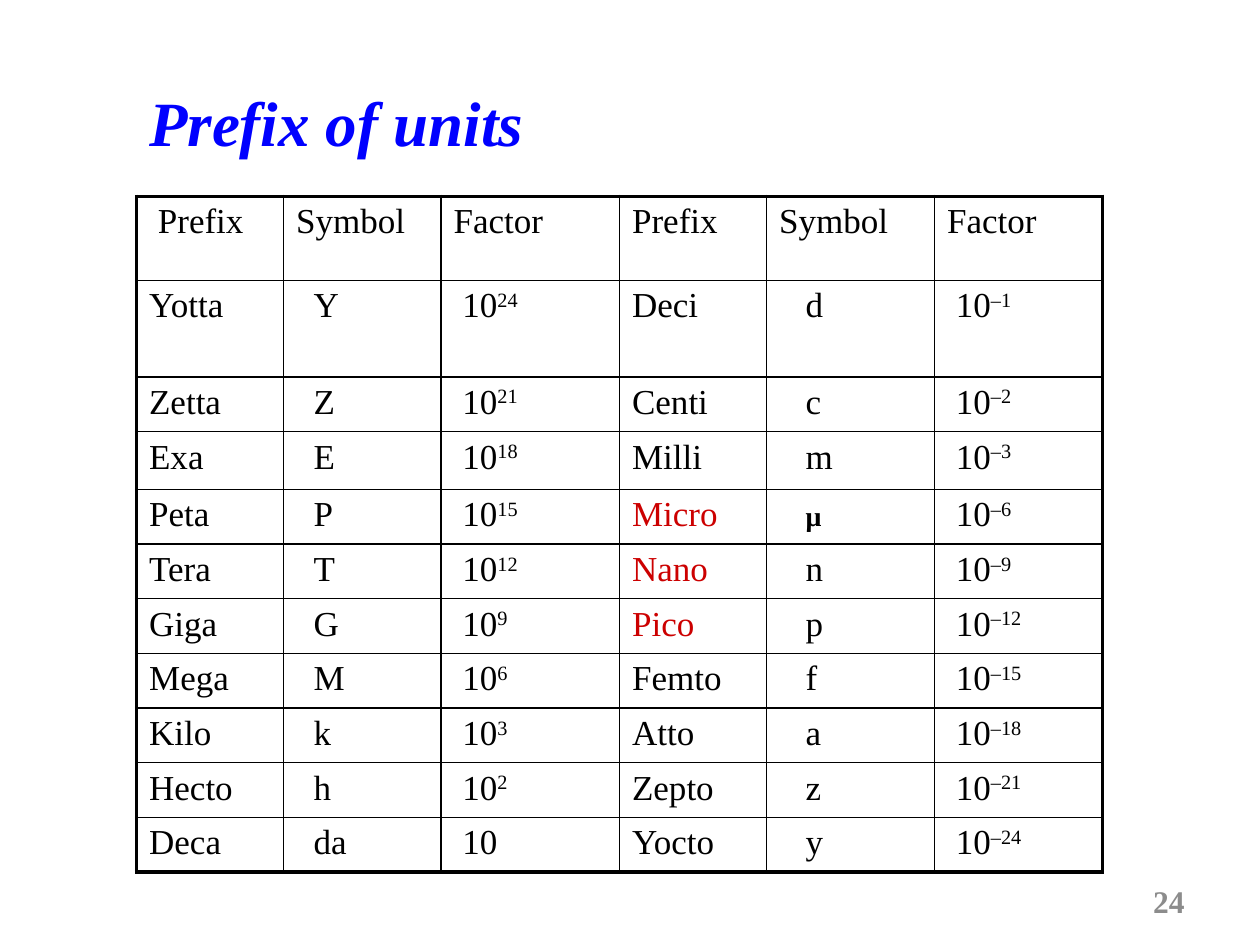
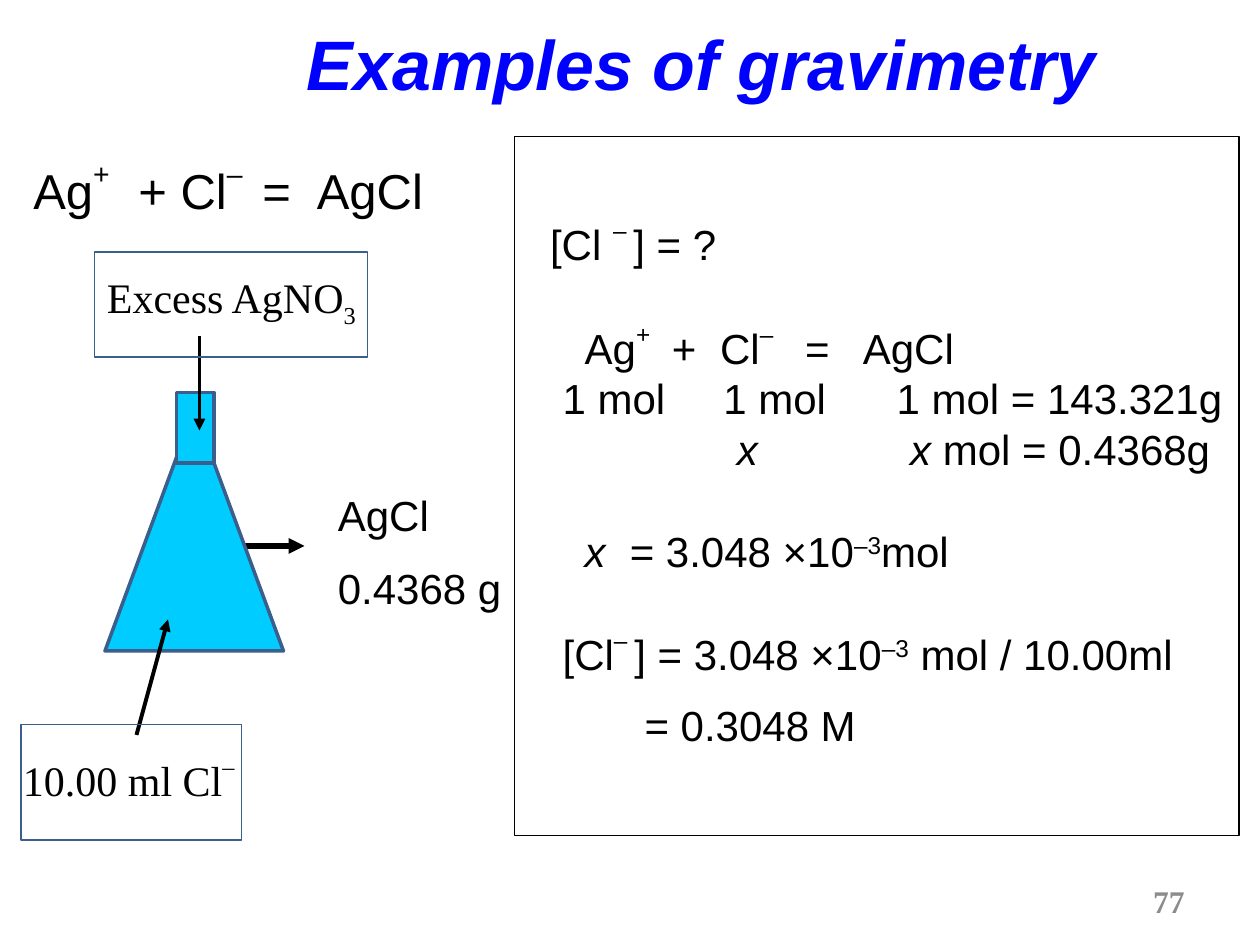
from pptx import Presentation
from pptx.dml.color import RGBColor
from pptx.enum.shapes import MSO_CONNECTOR as Connector, MSO_SHAPE as Shape
from pptx.enum.text import MSO_ANCHOR as Anchor, MSO_AUTO_SIZE as AutoSize, PP_ALIGN as Align
from pptx.oxml.ns import qn
from pptx.util import Inches, Pt
from lxml.etree import SubElement

BLACK = RGBColor(0x00, 0x00, 0x00)
WHITE = RGBColor(0xFF, 0xFF, 0xFF)
BLUE = RGBColor(0x00, 0x00, 0xFF)
RED = RGBColor(0xCC, 0x00, 0x00)
GREY = RGBColor(0x8C, 0x8C, 0x8C)
CYAN = RGBColor(0x00, 0xCC, 0xFF)
STEEL = RGBColor(0x3A, 0x5F, 0x8C)
SERIF, SANS = "Times New Roman", "Arial"

deck = Presentation()
deck.slide_width, deck.slide_height = Inches(10), Inches(7.5)
GRID = deck.slide_width / 120  # 120 columns by 90 rows of square cells

SERIF_LABEL = {"name": SERIF, "size": Pt(24), "color": BLACK}
SANS_LABEL = {**SERIF_LABEL, "name": SANS}
EQUATION = {**SANS_LABEL, "size": Pt(28)}
TABLE_TEXT = {**SERIF_LABEL, "size": Pt(20)}
PAGE_NUMBER = {"name": SERIF, "size": Pt(18), "color": GREY, "bold": True}
TITLE = {"color": BLUE, "bold": True, "italic": True}
HIGH, EXPONENT, LOW = {"baseline": 50}, {"baseline": 30}, {"baseline": -25}
ITALIC = {"italic": True}


def cells(*counts):
    """Turn counts of grid cells into lengths."""
    return [int(count * GRID) for count in counts]


def write(para, spans, look, tabs=()):
    """Add spans, each a text or a (text, changes) pair; tabs are in grid cells."""
    if tabs:
        tab_list = SubElement(para._p.get_or_add_pPr(), qn("a:tabLst"))
        for position in cells(*tabs):
            SubElement(tab_list, qn("a:tab"), pos=str(position), algn="l")
    for item in spans:
        text, changes = (item, {}) if isinstance(item, str) else item
        span = para.add_run()
        span.text = text
        for key, value in {**look, **changes}.items():
            if key == "color":
                span.font.color.rgb = value
            elif key == "baseline":
                span._r.get_or_add_rPr().set("baseline", str(value * 1000))
            else:
                setattr(span.font, key, value)


# Titles and page numbers
pages = []
for title, place, font, size, number in [
    ("Prefix of units", (13, 7.4, 41, 8.5), SERIF, 36, "24"),
    ("Examples of gravimetry", (28, 1.4, 80, 9.2), SANS, 40, "77"),
]:
    page = deck.slides.add_slide(deck.slide_layouts[5])
    box = page.shapes.title
    box.left, box.top, box.width, box.height = cells(*place)
    frame = box.text_frame
    frame.auto_size, frame.vertical_anchor = AutoSize.NONE, Anchor.TOP
    frame.paragraphs[0].alignment = Align.LEFT
    write(frame.paragraphs[0], [title], {**TITLE, "name": font, "size": Pt(size)})

    frame = page.shapes.add_textbox(*cells(86, 83.4, 28, 4.8)).text_frame
    frame.word_wrap, frame.vertical_anchor = True, Anchor.MIDDLE
    frame.paragraphs[0].alignment = Align.RIGHT
    write(frame.paragraphs[0], [number], PAGE_NUMBER)
    pages.append(page)
prefix_page, gravimetry_page = pages

# Table of prefixes: name, symbol and power of ten, twice across
PREFIXES = [
    ("Yotta", "Y", "24", "Deci", "d", "–1"),
    ("Zetta", "Z", "21", "Centi", "c", "–2"),
    ("Exa", "E", "18", "Milli", "m", "–3"),
    ("Peta", "P", "15", "Micro", "μ", "–6"),
    ("Tera", "T", "12", "Nano", "n", "–9"),
    ("Giga", "G", "9", "Pico", "p", "–12"),
    ("Mega", "M", "6", "Femto", "f", "–15"),
    ("Kilo", "k", "3", "Atto", "a", "–18"),
    ("Hecto", "h", "2", "Zepto", "z", "–21"),
    ("Deca", "da", "", "Yocto", "y", "–24"),
]
rows = [("Prefix", "Symbol", "Factor") * 2] + PREFIXES
column_widths = cells(14, 15, 17, 14, 16, 16)
row_heights = cells(8, 9.2, 5.2, 5.5, *[5.2] * 7)
body_margins = [0.1, 0.24, 0.17, 0.1, 0.31, 0.17]
header_margins = [0.17] + [0.1] * 5

table = prefix_page.shapes.add_table(
    len(rows), len(column_widths), *cells(13, 18.7), sum(column_widths), sum(row_heights)
).table
table.first_row = table.horz_banding = False
for column, width in zip(table.columns, column_widths):
    column.width = width
for row, height in zip(table.rows, row_heights):
    row.height = height

last_row, last_column = len(rows) - 1, len(column_widths) - 1
for r, values in enumerate(rows):
    for c, value in enumerate(values):
        cell = table.cell(r, c)
        cell.margin_left = Inches((body_margins if r else header_margins)[c])
        spans = [value]
        if r and c % 3 == 2:
            spans = ["10", (value, EXPONENT)] if value else ["10"]
        elif value in ("Micro", "Nano", "Pico"):
            spans = [(value, {"color": RED})]
        elif value == "μ":
            spans = [(value, {"size": Pt(16), "bold": True})]
            cell.margin_top = Inches(0.1)
        write(cell.text_frame.paragraphs[0], spans, TABLE_TEXT)

        outer_sides = {"L": c == 0, "R": c == last_column, "T": r == 0, "B": r == last_row}
        for side, outer in outer_sides.items():
            border = SubElement(
                cell._tc.get_or_add_tcPr(), qn(f"a:ln{side}"), w=str(Pt(2.25 if outer else 1))
            )
            fill = SubElement(border, qn("a:solidFill"))
            SubElement(fill, qn("a:srgbClr"), val=str(BLACK))
        cell.fill.background()

# Labels around the flask
shapes = gravimetry_page.shapes
for place, look, tabs, lines in [
    ((2, 14.3, 45, 6.8), EQUATION, (10, 21.8, 27),
     [["Ag", ("+", HIGH), "\t+ Cl", ("–", HIGH), "\t=\tAgCl"]]),
    ((1, 71, 23, 6), SERIF_LABEL, (), [["10.00 ml Cl", ("–", HIGH)]]),
    ((9, 25.3, 28, 6), SERIF_LABEL, (), [["Excess AgNO", ("3", LOW)]]),
    ((31, 46, 18, 13.3), SANS_LABEL, (), [["AgCl"], ["0.4368 g"]]),
]:
    frame = shapes.add_textbox(*cells(*place)).text_frame
    frame.word_wrap = True
    for index, spans in enumerate(lines):
        para = frame.add_paragraph() if index else frame.paragraphs[0]
        write(para, spans, look, tabs)
        if index:
            para.space_before = Pt(13)

# Flask, its arrows, the label frames and the calculation panel, from back to front
for kind, place, fill, line, width in [
    (Shape.RECTANGLE, (49, 13, 69, 66.6), WHITE, BLACK, 0.75),
    ("arrow", (20, 52, 29, 52), None, BLACK, 3),
    (Shape.ISOSCELES_TRIANGLE, (10, 39, 17, 23), CYAN, STEEL, 2),
    (Shape.RECTANGLE, (16.8, 37.4, 3.6, 6.7), CYAN, STEEL, 2),
    ("arrow", (13, 70, 16, 59), None, BLACK, 2.25),
    ("arrow", (19, 32, 19, 41), None, BLACK, 2.25),
    (Shape.RECTANGLE, (2, 69, 21, 11), None, STEEL, 1),
    (Shape.RECTANGLE, (9, 24, 26, 10), None, STEEL, 1),
]:
    if kind == "arrow":
        item = shapes.add_connector(Connector.STRAIGHT, *cells(*place))
    else:
        item = shapes.add_shape(kind, *cells(*place))
        item.shadow.inherit = False
        if fill is None:
            item.fill.background()
        else:
            item.fill.solid()
            item.fill.fore_color.rgb = fill
    item.line.color.rgb = line
    item.line.width = Pt(width)
    if kind == "arrow":
        SubElement(item.line._get_or_add_ln(), qn("a:tailEnd"), type="triangle")
        SubElement(item._element.spPr, qn("a:effectLst"))
    if fill == WHITE:
        panel = item

# Calculation: space before, tab stops, spans
CALCULATION = [
    (0, (2.2,), ["\t[Cl ", ("– ", HIGH), "] = ?"]),
    (30, (5.5, 13.8, 18.4, 26.5, 32),
     ["\tAg", ("+", HIGH), "\t+\tCl", ("–", HIGH), "\t=\tAgCl"]),
    (0, (3.4, 18.7, 35.2), ["\t1 mol\t1 mol\t1 mol = 143.321g"]),
    (0, (20, 36.5), [("\tx\tx", ITALIC), " mol = 0.4368g"]),
    (29, (5.5, 9.8), [("\tx", ITALIC), "\t= 3.048 ×10", ("–3", EXPONENT), "mol"]),
    (30, (3.4,),
     ["\t[Cl", ("– ", HIGH), "] = 3.048 ×10", ("–3", EXPONENT), " mol / 10.00ml"]),
    (12, (11.2,), ["\t= 0.3048 M"]),
]
frame = panel.text_frame
frame.word_wrap, frame.vertical_anchor = True, Anchor.TOP
frame.margin_top, frame.margin_right = Inches(0.65), 0
for index, (gap, tabs, spans) in enumerate(CALCULATION):
    para = frame.add_paragraph() if index else frame.paragraphs[0]
    write(para, spans, SANS_LABEL, tabs)
    para.alignment, para.line_spacing = Align.LEFT, Pt(29)
    if gap:
        para.space_before = Pt(gap)

deck.save("out.pptx")
